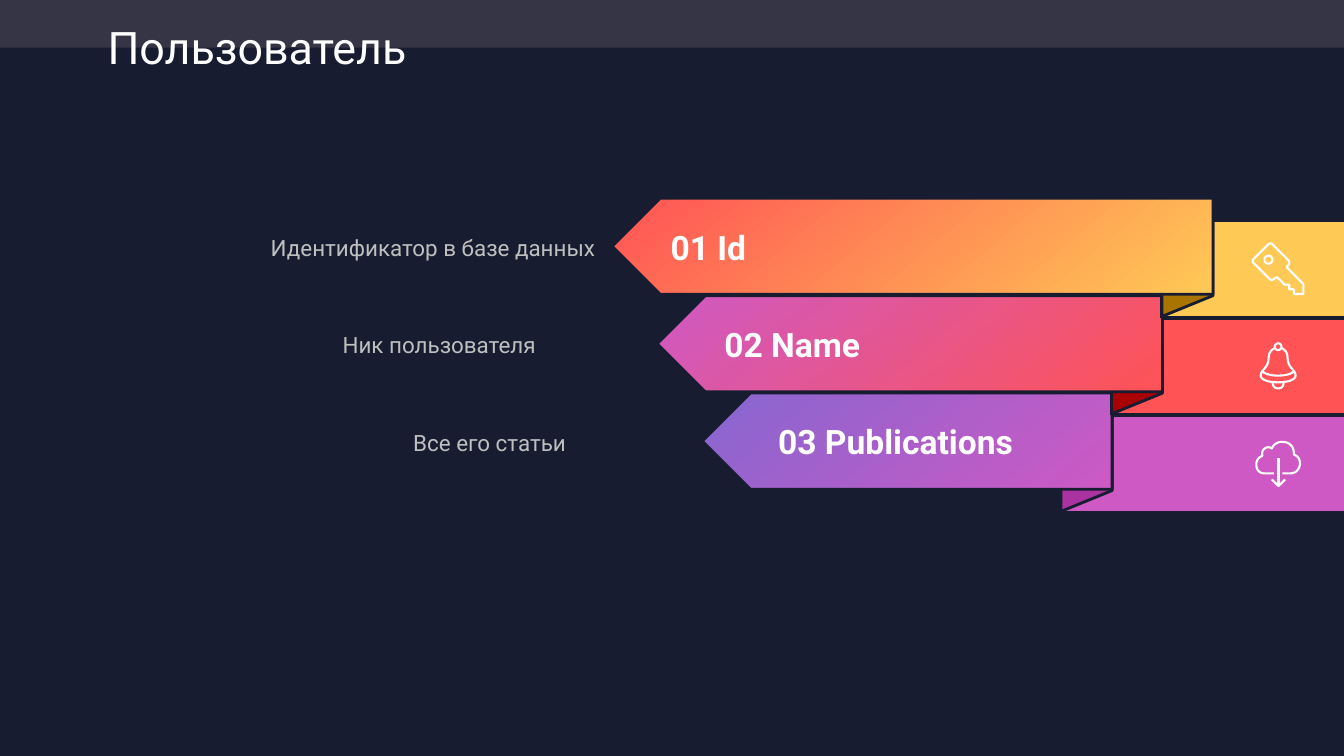
from dataclasses import dataclass
from math import cos, sin, tau

from lxml.etree import SubElement
from pptx import Presentation
from pptx.dml.color import RGBColor
from pptx.enum.shapes import MSO_SHAPE as Preset
from pptx.enum.text import MSO_ANCHOR as Anchor, MSO_AUTO_SIZE as AutoSize, PP_ALIGN as Align
from pptx.oxml.ns import qn
from pptx.util import Pt

PX = 9144
WIDTH, HEIGHT = 2000, 1125
BLEED = 2058
FONT = "Roboto"

NAVY = RGBColor(0x17, 0x1C, 0x30)
SLATE = RGBColor(0x35, 0x35, 0x45)
WHITE = RGBColor(0xFF, 0xFF, 0xFF)
GREY = RGBColor(0xBF, 0xBF, 0xBF)
YELLOW = RGBColor(0xFF, 0xC9, 0x55)
BROWN = RGBColor(0xAA, 0x74, 0x00)
RED = RGBColor(0xFF, 0x53, 0x55)
MAROON = RGBColor(0xA9, 0x00, 0x02)
PINK = RGBColor(0xCE, 0x59, 0xC4)
PLUM = RGBColor(0xAB, 0x32, 0xA1)
VIOLET = RGBColor(0x87, 0x66, 0xD0)


def ring(x, y, radius, steps=24):
    """Return a stroke that runs round a circle."""
    return [(x + radius * cos(tau * i / steps), y + radius * sin(tau * i / steps))
            for i in range(steps + 1)]


@dataclass
class Icon:
    """Line icon: its size and strokes, where six numbers make a cubic curve."""
    width: int
    height: int
    strokes: list


KEY = Icon(79, 79, [
    [(24, 4), (26, 1, 30, 1, 32, 4), (54, 26), (57, 28, 57, 32, 54, 35), (52, 37), (77, 62),
     (77, 77), (63, 77), (63, 70), (56, 70), (56, 63), (49, 63), (38, 52), (34, 54),
     (31, 57, 29, 57, 26, 54), (4, 32), (1, 30, 1, 26, 4, 24), (24, 4)],
    ring(25, 26, 6)])
BELL = Icon(56, 70, [
    [(23, 8), (18, 10, 14, 15, 14, 22), (14, 38, 2, 40, 2, 49), (2, 55, 13, 59, 28, 59),
     (43, 59, 54, 55, 54, 49), (54, 40, 42, 38, 42, 22), (42, 15, 38, 10, 33, 8)],
    [(5, 43), (9, 47, 18, 49, 28, 49), (38, 49, 47, 47, 51, 43)],
    [(20, 60), (20, 65, 23, 68, 28, 68), (33, 68, 36, 65, 36, 60)],
    ring(28, 6, 5)])
CLOUD = Icon(69, 69, [
    [(28, 49), (14, 49), (6, 49, 2, 43, 2, 36), (2, 30, 5, 25, 11, 23),
     (9, 16, 14, 10, 20, 10), (22, 10, 24, 11, 25, 12), (28, 5, 34, 2, 41, 2),
     (51, 2, 58, 9, 58, 19), (58, 21), (64, 23, 67, 28, 67, 34),
     (67, 42, 61, 49, 53, 49), (41, 49)],
    [(35, 26), (35, 68)],
    [(25, 58), (35, 68), (45, 58)]])


@dataclass
class Field:
    """One ribbon of the slide."""
    label: str
    description: str
    description_left: int
    description_width: int
    color: RGBColor
    tip_color: RGBColor
    fold_color: RGBColor
    icon: Icon


FIELDS = [
    Field("01 Id", "Идентификатор в базе данных", 393, 515, YELLOW, RED, BROWN, KEY),
    Field("02 Name", "Ник пользователя", 500, 434, RED, PINK, MAROON, BELL),
    Field("03 Publications", "Все его статьи", 605, 388, PINK, VIOLET, PLUM, CLOUD),
]


def emu(*lengths):
    """Turn px into EMU."""
    return [round(length * PX) for length in lengths]


def flatten(stroke, steps=8):
    """Return the points of a stroke, with its curves divided into short lines."""
    points = [stroke[0]]
    for segment in stroke[1:]:
        if len(segment) == 2:
            points.append(segment)
            continue
        knots = [points[-1], segment[:2], segment[2:4], segment[4:]]
        for step in range(1, steps + 1):
            t = step / steps
            weights = ((1 - t) ** 3, 3 * t * (1 - t) ** 2, 3 * t * t * (1 - t), t ** 3)
            points.append(tuple(sum(w * knot[axis] for w, knot in zip(weights, knots))
                                for axis in (0, 1)))
    return points


def build_outline(slide, left, top, strokes, close):
    """Build one freeform from point lists placed relative to left and top."""
    contours = [[tuple(emu(left + x, top + y)) for x, y in stroke] for stroke in strokes]
    builder = slide.shapes.build_freeform(*contours[0][0], scale=1.0)
    for index, contour in enumerate(contours):
        if index:
            builder.move_to(*contour[0])
        builder.add_line_segments(contour[1:], close=close)
    shape = builder.convert_to_shape()
    shape.shadow.inherit = False
    return shape


def add_block(slide, preset, box, color):
    """Add a plain filled shape without a line."""
    shape = slide.shapes.add_shape(preset, *emu(*box))
    shape.shadow.inherit = False
    shape.fill.solid()
    shape.fill.fore_color.rgb = color
    shape.line.fill.background()
    return shape


def set_edge(shape):
    """Give a ribbon part its dark edge."""
    shape.line.color.rgb = NAVY
    shape.line.width = Pt(3)


def add_text(slide, box, text, size, color, bold=False, anchor=Anchor.TOP):
    """Add a wrapped line of text."""
    frame = slide.shapes.add_textbox(*emu(*box)).text_frame
    frame.word_wrap = True
    frame.vertical_anchor = anchor
    paragraph = frame.paragraphs[0]
    paragraph.text = text
    font = paragraph.font
    font.name, font.size, font.bold = FONT, Pt(size), bold
    font.color.rgb = color


def add_header(slide, left, top, width, height):
    """Place the header bar behind the slide title."""
    bar = add_block(slide, Preset.RECTANGLE, (left, top, width, height), SLATE)
    title = slide.shapes.title
    title.element.addprevious(bar.element)
    title.left, title.top, title.width, title.height = emu(left + 150, top + 34, 1408, 83)
    frame = title.text_frame
    frame.word_wrap = True
    frame.auto_size = AutoSize.SHAPE_TO_FIT_TEXT
    frame.vertical_anchor = Anchor.TOP
    paragraph = frame.paragraphs[0]
    paragraph.text = "Пользователь"
    paragraph.alignment = Align.LEFT
    paragraph.line_spacing = 0.9
    paragraph.font.name, paragraph.font.size = FONT, Pt(48)
    paragraph.font.color.rgb = WHITE


def add_icon(slide, center_x, center_y, icon):
    """Draw a white line icon around a centre."""
    shape = build_outline(slide, center_x - icon.width / 2, center_y - icon.height / 2,
                          [flatten(stroke) for stroke in icon.strokes], close=False)
    shape.fill.background()
    shape.line.color.rgb = WHITE
    shape.line.width = Pt(2.25)
    SubElement(shape.line._get_or_add_ln(), qn("a:round"))


def add_ribbon(slide, left, top, width, height, field):
    """Place a folded ribbon: tail, fold, arrow, label and icon."""
    right = left + width
    tail_left, tail_top = right - 76, top + 34
    set_edge(add_block(slide, Preset.RECTANGLE,
                       (tail_left, tail_top, BLEED - tail_left, height), field.color))

    fold = build_outline(slide, tail_left, top,
                         [[(0, 176), (76, 145), (76, 2), (0, 34)]], close=True)
    fold.fill.solid()
    fold.fill.fore_color.rgb = field.fold_color
    set_edge(fold)

    arrow = add_block(slide, Preset.PENTAGON, (left, top, width, height), field.color)
    arrow.element.spPr.find(qn("a:xfrm")).set("flipH", "1")
    arrow.fill.gradient()
    arrow.fill.gradient_angle = 50
    for stop, position, color in zip(arrow.fill.gradient_stops, (0, 1),
                                     (field.color, field.tip_color)):
        stop.position, stop.color.rgb = position, color
    set_edge(arrow)

    add_icon(slide, 1902, tail_top + height // 2, field.icon)


def main():
    """Build the slide and save it."""
    presentation = Presentation()
    presentation.slide_width, presentation.slide_height = emu(WIDTH, HEIGHT)
    slide = presentation.slides.add_slide(presentation.slide_layouts[5])
    slide.background.fill.solid()
    slide.background.fill.fore_color.rgb = NAVY
    add_header(slide, 0, 0, WIDTH, 71)
    for row, field in reversed(list(enumerate(FIELDS))):
        top, width = 295 + 145 * row, 894 - 142 * row
        add_ribbon(slide, 911 + 67 * row, top, width, 143, field)
        add_text(slide, (988 + 80 * row, top + 39, width - 160, 66), field.label,
                 36, WHITE, bold=True, anchor=Anchor.MIDDLE)
        add_text(slide, (field.description_left, top + 48, field.description_width, 50),
                 field.description, 24, GREY)
    presentation.save("out.pptx")


if __name__ == "__main__":
    main()
